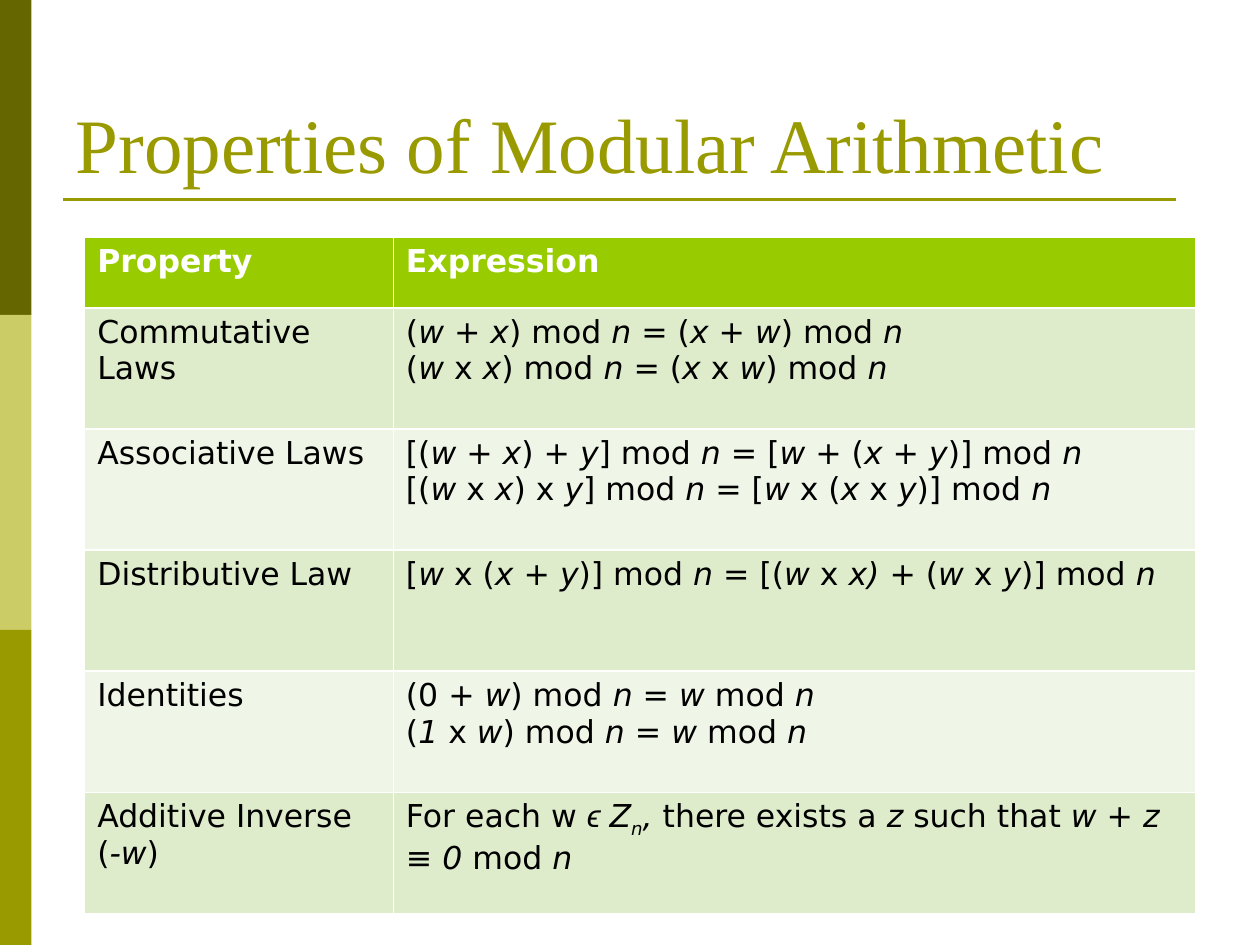
"""Build a slide with a table of the properties of modular arithmetic."""
from lxml import etree
from pptx import Presentation
from pptx.dml.color import RGBColor
from pptx.enum.shapes import MSO_CONNECTOR, MSO_SHAPE
from pptx.enum.text import MSO_ANCHOR, MSO_AUTO_SIZE, PP_ALIGN
from pptx.oxml.ns import qn
from pptx.util import Pt

RECTANGLE = MSO_SHAPE.RECTANGLE
STRAIGHT = MSO_CONNECTOR.STRAIGHT
BOTTOM = MSO_ANCHOR.BOTTOM
NO_AUTOFIT = MSO_AUTO_SIZE.NONE
LEFT = PP_ALIGN.LEFT

DARK_OLIVE = RGBColor(0x66, 0x66, 0x00)
PALE_OLIVE = RGBColor(0xCC, 0xCC, 0x66)
OLIVE = RGBColor(0x99, 0x99, 0x00)
GREEN = RGBColor(0x99, 0xCC, 0x00)
LIGHT_GREEN = RGBColor(0xDE, 0xEC, 0xCC)
PALE_GREEN = RGBColor(0xEF, 0xF6, 0xE7)
WHITE = RGBColor(0xFF, 0xFF, 0xFF)
BLACK = RGBColor(0x00, 0x00, 0x00)

COLUMN_WIDTHS = (176.4, 458.6)
ROW_HEIGHTS = (40.3,) + (69.25,) * 5
PROPERTIES = [
    ("Property", "Expression"),
    ("Commutative Laws",
     "(*w* + *x*) mod *n* = (*x* + *w*) mod *n*\n"
     "(*w* x *x*) mod *n* = (*x* x *w*) mod *n*"),
    ("Associative Laws",
     "[(*w* + *x*) + *y*] mod *n* = [*w* + (*x* + *y*)] mod *n*\n"
     "[(*w* x *x*) x *y*] mod *n* = [*w* x (*x* x *y*)] mod *n*"),
    ("Distributive Law",
     "[*w* x (*x* + *y*)] mod *n* = [(*w* x *x)* + (*w* x *y*)] mod *n*"),
    ("Identities",
     "(0 + *w*) mod *n* = *w* mod *n*\n"
     "(*1* x *w*) mod *n* = *w* mod *n*"),
    ("Additive Inverse (*-w*)",
     "For each w *ϵ **Z_n_, *there exists a* z *such that* w + z ≡ 0 *mod* n*"),
]


class SlideBuilder:
    """Hold the fonts and the current slide, and draw each kind of element."""

    title_font = "Times New Roman"
    body_font = "DejaVu Sans"
    symbol_font = "Arial"

    def __init__(self, slide):
        """Keep the slide to draw on."""
        self.slide = slide

    def bar(self, left, top, width, height, color):
        """Draw a plain filled rectangle."""
        bar = self.slide.shapes.add_shape(
            RECTANGLE, Pt(left), Pt(top), Pt(width), Pt(height))
        bar.shadow.inherit = False
        bar.fill.solid()
        bar.fill.fore_color.rgb = color
        bar.line.fill.background()

    def rule(self, left, right, y, color, weight):
        """Draw a horizontal line."""
        rule = self.slide.shapes.add_connector(
            STRAIGHT, Pt(left), Pt(y), Pt(right), Pt(y))
        rule.line.color.rgb = color
        rule.line.width = Pt(weight)
        etree.SubElement(rule._element.spPr, qn("a:effectLst"))

    def title(self, text, left, top, width, height):
        """Place and format the title placeholder."""
        title = self.slide.shapes.title
        title.left, title.top = Pt(left), Pt(top)
        title.width, title.height = Pt(width), Pt(height)
        frame = title.text_frame
        frame.text = text
        frame.auto_size = NO_AUTOFIT
        frame.vertical_anchor = BOTTOM
        heading = frame.paragraphs[0]
        heading.alignment = LEFT
        self.style(heading, self.title_font, 44, OLIVE)

    def style(self, paragraph, name, size, color, bold=False):
        """Set the font shared by all runs of a paragraph."""
        font = paragraph.font
        font.name, font.size, font.bold = name, Pt(size), bold
        font.color.rgb = color

    def formula(self, paragraph, markup):
        """Add runs, with *italic* and _subscript_ parts."""
        for i, phrase in enumerate(markup.split("*")):
            for j, part in enumerate(phrase.split("_")):
                if not part:
                    continue
                run = paragraph.add_run()
                run.text = part
                if i % 2:
                    run.font.italic = True
                if j % 2:
                    run._r.get_or_add_rPr().set("baseline", "-25000")
                if "ϵ" in part:
                    run.font.name = self.symbol_font

    def cell(self, cell, markup, fill, color, bold):
        """Fill one table cell, one paragraph per line."""
        cell.fill.solid()
        cell.fill.fore_color.rgb = fill
        frame = cell.text_frame
        for i, line in enumerate(markup.split("\n")):
            paragraph = frame.add_paragraph() if i else frame.paragraphs[0]
            self.style(paragraph, self.body_font, 18, color, bold)
            self.formula(paragraph, line)

    def table(self, rows, left, top, widths, heights):
        """Draw a table with a header row and banded rows."""
        table = self.slide.shapes.add_table(
            len(rows), len(widths), Pt(left), Pt(top),
            Pt(sum(widths)), Pt(sum(heights))).table
        for column, width in zip(table.columns, widths):
            column.width = Pt(width)
        for r, (texts, height) in enumerate(zip(rows, heights)):
            table.rows[r].height = Pt(height)
            header = r == 0
            band = LIGHT_GREEN if r % 2 else PALE_GREEN
            for c, text in enumerate(texts):
                self.cell(table.cell(r, c), text, GREEN if header else band,
                          WHITE if header else BLACK, header)


def main():
    """Create the presentation and save it."""
    presentation = Presentation()
    presentation.slide_width, presentation.slide_height = Pt(720), Pt(540)
    slide = presentation.slides.add_slide(presentation.slide_layouts[5])
    builder = SlideBuilder(slide)
    for i, color in enumerate((DARK_OLIVE, PALE_OLIVE, OLIVE)):
        builder.bar(0, 180 * i, 18, 180, color)
    builder.rule(36, 672, 114, OLIVE, 1.5)
    builder.title("Properties of Modular Arithmetic", 36, 21.6, 648, 90)
    builder.table(PROPERTIES, 48.4, 135.6, COLUMN_WIDTHS, ROW_HEIGHTS)
    presentation.save("out.pptx")


if __name__ == "__main__":
    main()
